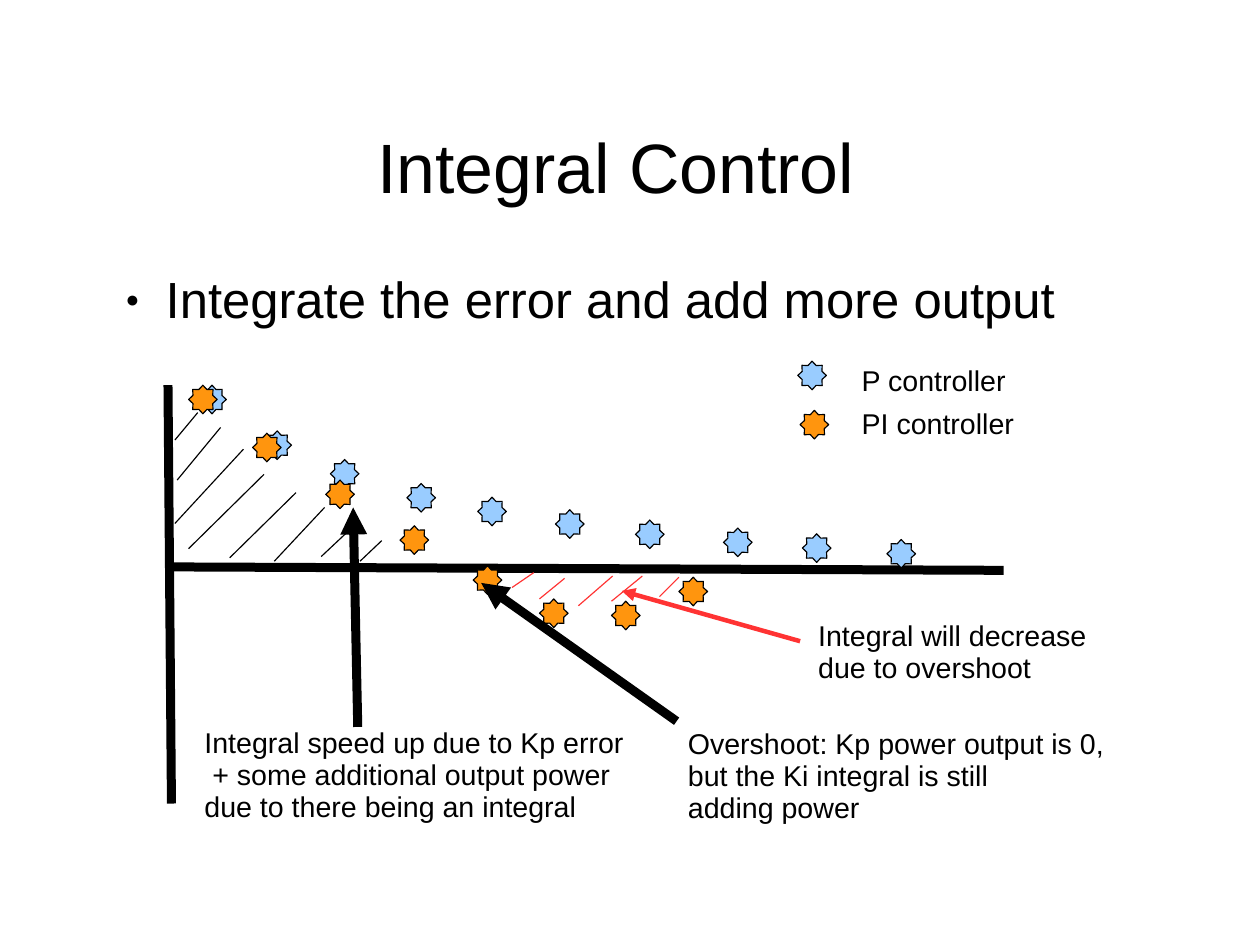
import pptx
import pptx.util
import pptx.dml.color
import pptx.enum.shapes
import pptx.enum.text
import pptx.oxml.ns
import lxml.etree

Inches = pptx.util.Inches
Pt = pptx.util.Pt
qn = pptx.oxml.ns.qn
ALIGN = pptx.enum.text.PP_ALIGN
ANCHOR = pptx.enum.text.MSO_ANCHOR

FONT = "Arial"
COLORS = {"ink": "000000", "p": "99CCFF", "pi": "FF950E", "overshoot": "FF3333"}
MARKER = 0.25
HAIRLINE, MEDIUM, HEAVY = 0.75, 2.83, 5.67

# Left and top of each marker
P_RESPONSE = [(1.73, 3.37), (2.3, 3.77), (2.89, 4.02), (3.56, 4.23), (4.18, 4.35),
              (4.86, 4.46), (5.56, 4.55), (6.33, 4.62), (7.02, 4.67), (7.76, 4.72)]
PI_RESPONSE = [(1.65, 3.37), (2.21, 3.79), (2.85, 4.2), (3.5, 4.6), (4.14, 4.95),
               (4.72, 5.24), (5.35, 5.26), (5.94, 5.05)]

# Start and end of each line
AXES = [(1.47, 3.37, 1.5, 7.03), (1.51, 4.96, 8.78, 4.99)]
ERROR_HATCH = [(1.53, 3.85, 1.73, 3.61), (1.55, 4.2, 1.93, 3.74),
               (1.53, 4.58, 2.13, 3.93), (1.65, 4.8, 2.31, 4.15),
               (2.01, 4.88, 2.59, 4.31), (2.4, 4.91, 2.84, 4.44),
               (2.81, 4.87, 3.14, 4.56), (3.15, 4.91, 3.34, 4.73)]
OVERSHOOT_HATCH = [(4.48, 5.14, 4.67, 5.01), (4.72, 5.24, 4.94, 5.06),
                   (5.06, 5.3, 5.36, 5.04), (5.35, 5.26, 5.62, 5.04),
                   (5.77, 5.22, 5.94, 5.05)]


def rgb(name):
    return pptx.dml.color.RGBColor.from_string(COLORS[name])


def add_bullet(paragraph, char, percent, margin, indent):
    """Give the paragraph a hanging bullet sized in percent of the text."""
    props = paragraph._p.get_or_add_pPr()
    props.set("marL", str(Inches(margin)))
    props.set("indent", str(Inches(indent)))
    color = lxml.etree.SubElement(props, qn("a:buClr"))
    lxml.etree.SubElement(color, qn("a:srgbClr"), val=COLORS["ink"])
    lxml.etree.SubElement(props, qn("a:buSzPct"), val=str(percent * 1000))
    lxml.etree.SubElement(props, qn("a:buFont"), typeface=FONT)
    lxml.etree.SubElement(props, qn("a:buChar"), char=char)


def write_text(frame, text, size=18, align=ALIGN.LEFT, anchor=ANCHOR.TOP,
               insets=(0.1, 0.07, 0.1, 0.05), wrap=False, bullet=None):
    """Fill the frame, one paragraph per line of text."""
    frame.auto_size = pptx.enum.text.MSO_AUTO_SIZE.NONE
    frame.word_wrap = wrap
    frame.vertical_anchor = anchor
    (frame.margin_left, frame.margin_top,
     frame.margin_right, frame.margin_bottom) = map(Inches, insets)
    frame.text = text
    for paragraph in frame.paragraphs:
        if bullet:
            add_bullet(paragraph, **bullet)
        paragraph.alignment = align
        paragraph.line_spacing = 0.93
        paragraph.font.name = FONT
        paragraph.font.size = Pt(size)
        paragraph.font.color.rgb = rgb("ink")


class ControlSlide:
    def __init__(self, deck):
        self.slide = deck.slides.add_slide(deck.slide_layouts[5])
        self.shapes = self.slide.shapes

    def title(self, text, left, top, width, height):
        title = self.shapes.title
        title.left, title.top = Inches(left), Inches(top)
        title.width, title.height = Inches(width), Inches(height)
        write_text(title.text_frame, text, size=44, align=ALIGN.CENTER,
                   anchor=ANCHOR.MIDDLE, insets=(0, 0.04, 0, 0), wrap=True)

    def text(self, text, left, top, width, height, **style):
        box = self.shapes.add_textbox(*map(Inches, (left, top, width, height)))
        write_text(box.text_frame, text, **style)

    def marker(self, left, top, controller):
        star = self.shapes.add_shape(
            pptx.enum.shapes.MSO_SHAPE.STAR_8_POINT,
            *map(Inches, (left, top, MARKER, MARKER)))
        star.shadow.inherit = False
        star.fill.solid()
        star.fill.fore_color.rgb = rgb(controller)
        star.line.color.rgb = rgb("ink")
        star.line.width = Pt(HAIRLINE)

    def line(self, ends, color="ink", width=HAIRLINE, arrow=False):
        line = self.shapes.add_connector(
            pptx.enum.shapes.MSO_CONNECTOR.STRAIGHT, *map(Inches, ends))
        line.line.color.rgb = rgb(color)
        line.line.width = Pt(width)
        if arrow:
            lxml.etree.SubElement(line.line._get_or_add_ln(), qn("a:tailEnd"),
                                  type="triangle")
        lxml.etree.SubElement(line._element.spPr, qn("a:effectLst"))


def main():
    deck = pptx.Presentation()
    deck.slide_width, deck.slide_height = pptx.util.Cm(28), pptx.util.Cm(21)
    page = ControlSlide(deck)

    page.title("Integral Control ", 0.91, 0.78, 9.13, 1.38)
    page.text("Integrate the error and add more output", 0.98, 2.36, 9.06, 4.72,
              size=32, insets=(0, 0.03, 0, 0), wrap=True,
              bullet=dict(char="●", percent=45, margin=0.47, indent=-0.35))

    for axis in AXES:
        page.line(axis, width=HEAVY)
    legend_p, legend_pi = (6.98, 3.16), (7, 3.59)
    for controller, positions in (("p", P_RESPONSE + [legend_p]),
                                  ("pi", PI_RESPONSE + [legend_pi])):
        for left, top in positions:
            page.marker(left, top, controller)
    page.text("P controller", 7.44, 3.13, 1.45, 0.38)
    page.text("PI controller", 7.44, 3.51, 1.53, 0.38)

    for stroke in ERROR_HATCH:
        page.line(stroke)
    for stroke in OVERSHOOT_HATCH:
        page.line(stroke, color="overshoot")

    page.text("Integral speed up due to Kp error\n + some additional output power\n"
              "due to there being an integral", 1.69, 6.3, 3.86, 0.94)
    page.line((3.13, 6.36, 3.09, 4.44), width=HEAVY, arrow=True)
    page.text("Overshoot: Kp power output is 0,\nbut the Ki integral is still\n"
              "adding power", 5.92, 6.31, 3.83, 0.94)
    page.line((5.92, 6.31, 4.21, 5.1), width=HEAVY, arrow=True)
    page.text("Integral will decrease\ndue to overshoot", 7.06, 5.36, 2.53, 0.66)
    page.line((7, 5.61, 5.44, 5.17), color="overshoot", width=MEDIUM, arrow=True)

    deck.save("out.pptx")


if __name__ == "__main__":
    main()
